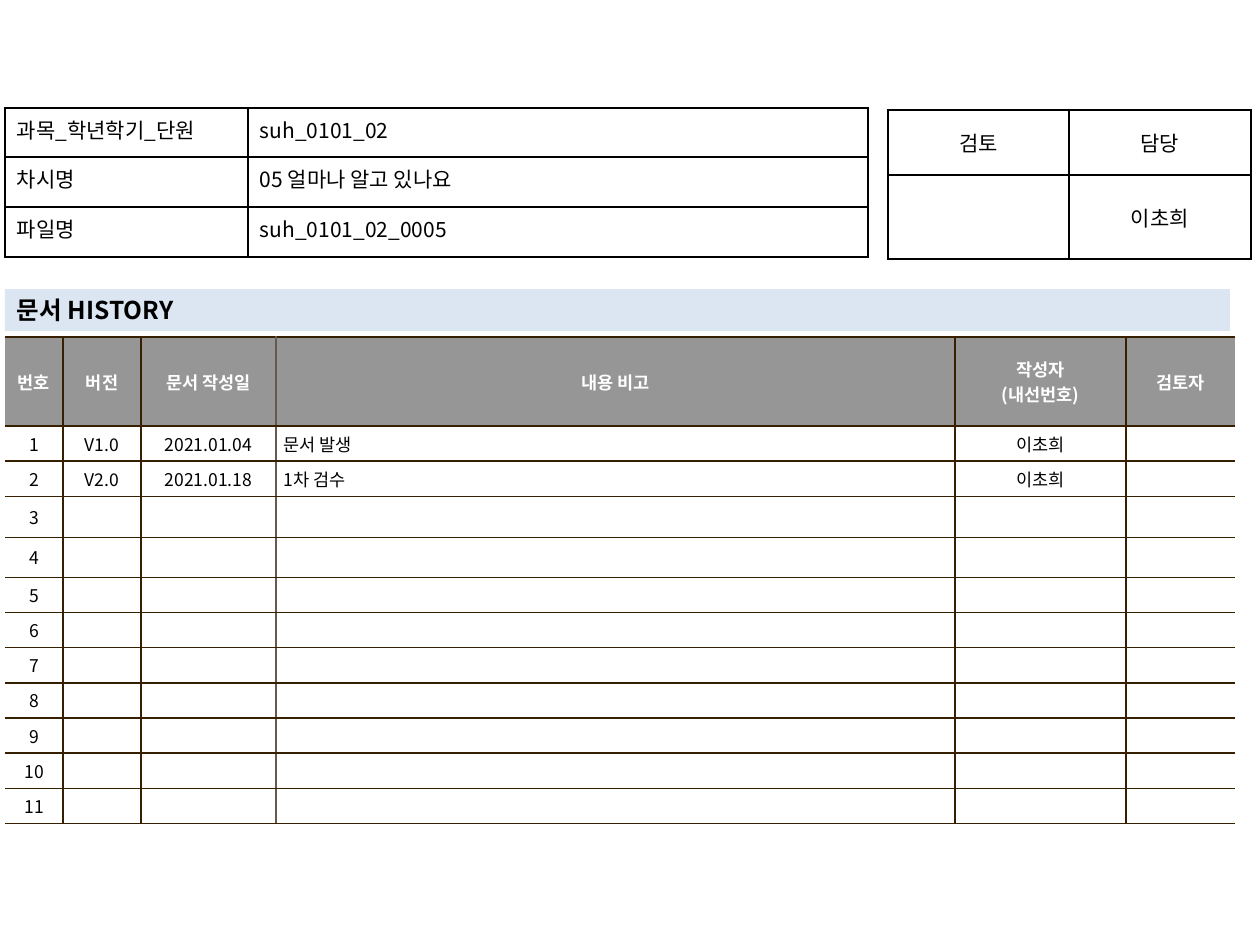
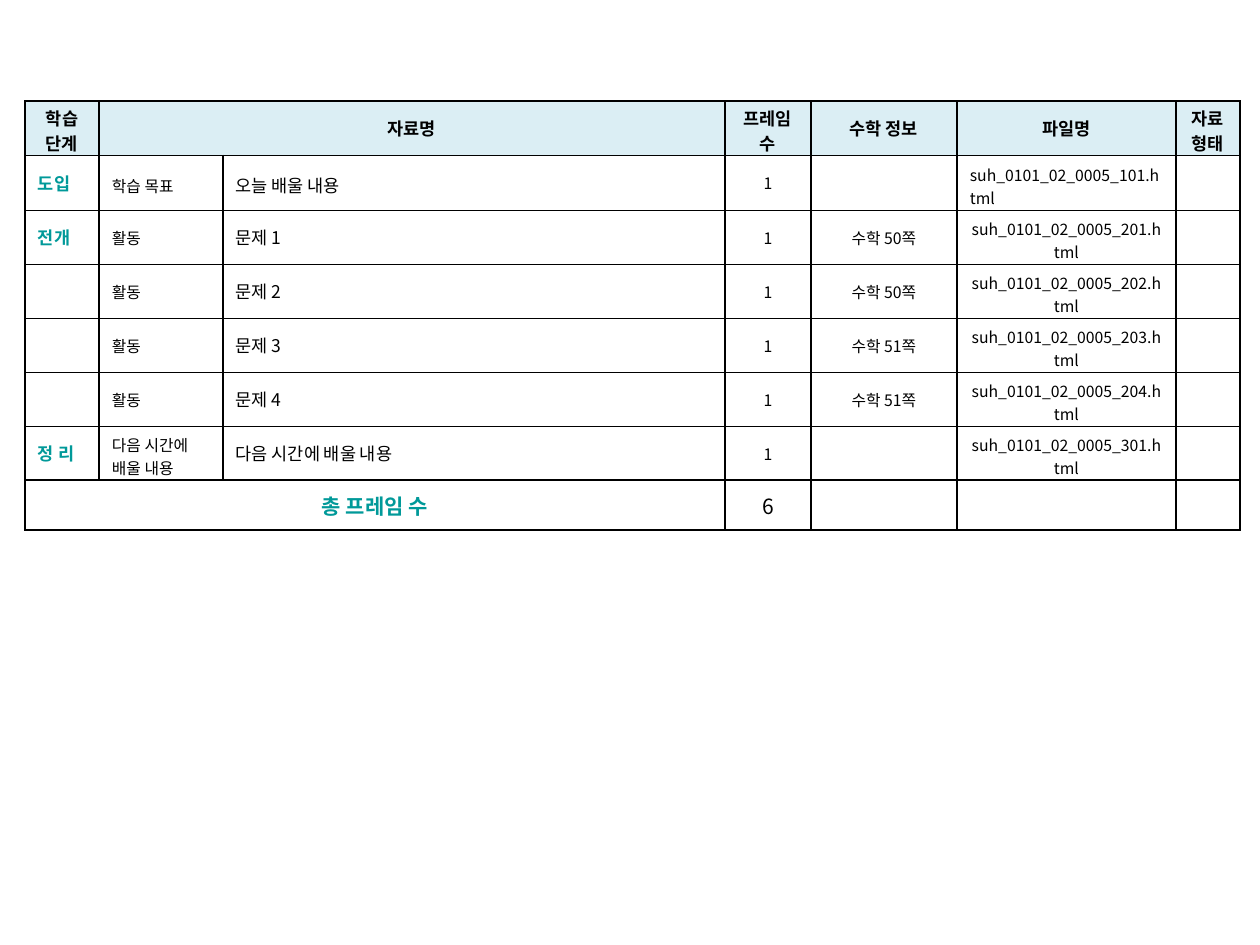
from dataclasses import dataclass, replace

from pptx import Presentation
from pptx import util as u
from pptx.dml.color import RGBColor
from pptx.enum import shapes, text
from pptx.oxml import parse_xml
from pptx.oxml.ns import nsdecls

PX = 914400 / 126
FONT = "Noto Sans CJK KR"
BLACK, WHITE, TEAL = "000000", "FFFFFF", "009999"
BROWN, LIGHT_BROWN, GRAY = "362000", "645B4C", "969696"
BAR_BLUE, HEADER_BLUE = "DCE6F2", "DBEEF4"
LEFT, CENTER, JUSTIFY = text.PP_ALIGN.LEFT, text.PP_ALIGN.CENTER, text.PP_ALIGN.JUSTIFY
TOP, MIDDLE = text.MSO_ANCHOR.TOP, text.MSO_ANCHOR.MIDDLE


@dataclass(frozen=True)
class Style:
    size: int = 10
    color: str = BLACK
    bold: bool = False
    align: text.PP_ALIGN = CENTER
    fill: str | None = None
    spacing: float | None = None
    insets: tuple[int, int] | None = None  # top and bottom, when not the table's own
    left_line: str | None = None
    right_line: str | None = None


@dataclass(frozen=True)
class Grid:
    left: int
    top: int
    columns: list[int]
    rows: list[int]
    line: str = BLACK
    inset_x: int = 13
    inset_y: int = 6
    anchor: text.MSO_ANCHOR = MIDDLE
    open_sides: bool = False


def px(value: int) -> int:
    return u.Emu(round(value * PX))


def rgb(color: str) -> RGBColor:
    return RGBColor.from_string(color)


def format_text(frame, words: str, style: Style) -> None:
    frame.text = words
    for para in frame.paragraphs:
        para.alignment = style.align
        if style.spacing:
            para.line_spacing = style.spacing
        for span in para.runs:
            span.font.size = u.Pt(style.size)
            span.font.bold = style.bold
            span.font.name = FONT
            span.font.color.rgb = rgb(style.color)
            span.font._element.append(parse_xml(f'<a:ea {nsdecls("a")} typeface="{FONT}"/>'))
        if not para.runs:
            # Keeps an empty cell from stretching its row
            para._p.get_or_add_endParaRPr().set("sz", str(style.size * 100))


def set_borders(cell, colors: list[str | None]) -> None:
    """Draw left, right, top and bottom; None hides a side."""
    properties = cell._tc.get_or_add_tcPr()
    for place, (side, color) in enumerate(zip("LRTB", colors)):
        paint = (f'<a:solidFill><a:srgbClr val="{color}"/></a:solidFill>'
                 if color else "<a:noFill/>")
        properties.insert(place, parse_xml(
            f'<a:ln{side} {nsdecls("a")} w="12700">{paint}</a:ln{side}>'))


def draw_table(page, grid: Grid, rows: list[list[tuple[str, Style]]]):
    frame = page.shapes.add_table(
        len(grid.rows), len(grid.columns), px(grid.left), px(grid.top),
        px(sum(grid.columns)), px(sum(grid.rows)))
    table = frame.table
    table.first_row = table.horz_banding = False
    for column, width in zip(table.columns, grid.columns):
        column.width = px(width)
    last = len(grid.columns) - 1
    for row, height, contents in zip(table.rows, grid.rows, rows):
        row.height = px(height)
        for index, (cell, (words, style)) in enumerate(zip(row.cells, contents)):
            above, below = style.insets or (grid.inset_y, grid.inset_y)
            cell.margin_left = cell.margin_right = px(grid.inset_x)
            cell.margin_top, cell.margin_bottom = px(above), px(below)
            cell.vertical_anchor = grid.anchor
            if style.fill:
                cell.fill.solid()
                cell.fill.fore_color.rgb = rgb(style.fill)
            else:
                cell.fill.background()
            left, right = style.left_line or grid.line, style.right_line or grid.line
            if grid.open_sides:
                left = left if index > 0 else None
                right = right if index < last else None
            set_borders(cell, [left, right, grid.line, grid.line])
            format_text(cell.text_frame, words, style)
    return table


def draw_section_bar(page, words: str) -> None:
    bar = page.shapes.add_shape(shapes.MSO_SHAPE.RECTANGLE, px(5), px(289), px(1225), px(42))
    bar.shadow.inherit = False
    bar.fill.solid()
    bar.fill.fore_color.rgb = rgb(BAR_BLUE)
    bar.line.fill.background()
    frame = bar.text_frame
    frame.margin_left = frame.margin_right = px(12)
    frame.margin_top = frame.margin_bottom = 0
    frame.vertical_anchor = MIDDLE
    format_text(frame, words, Style(14, bold=True, align=LEFT))


def history_styles(base: Style, remark_align: text.PP_ALIGN) -> list[Style]:
    """One style per column, with a lighter line between date and remark."""
    date = replace(base, right_line=LIGHT_BROWN)
    remark = replace(base, left_line=LIGHT_BROWN, align=remark_align)
    return [base, base, date, remark, base, base]


def build_history_page(page) -> None:
    header_styles = history_styles(Style(color=WHITE, bold=True, fill=GRAY), CENTER)
    entry_styles = history_styles(Style(fill=WHITE), LEFT)
    titles = ["번호", "버전", "문서 작성일", "내용 비고", "작성자\n(내선번호)", "검토자"]
    entries = [
        ("V1.0", "2021.01.04", "문서 발생", "이초희", ""),
        ("V2.0", "2021.01.18", "1차 검수", "이초희", ""),
    ]
    entries += [("",) * 5] * 9
    history = [list(zip(titles, header_styles))]
    history += [list(zip((str(number), *values), entry_styles))
                for number, values in enumerate(entries, 1)]
    draw_table(page, Grid(5, 337, [58, 78, 135, 679, 171, 109],
                          [89, 35, 35, 41, 40] + [35] * 7, BROWN, 8, 5,
                          open_sides=True), history)

    approval = Style(12)
    draw_table(page, Grid(888, 110, [181, 182], [65, 84]),
               [[("검토", approval), ("담당", approval)],
                [("", approval), ("이초희", approval)]])

    draw_section_bar(page, "문서 HISTORY")

    label, value = Style(12, align=JUSTIFY), Style(12, align=LEFT)
    facts = [("과목_학년학기_단원", "suh_0101_02"),
             ("차시명", "05 얼마나 알고 있나요"),
             ("파일명", "suh_0101_02_0005")]
    draw_table(page, Grid(5, 108, [243, 620], [49, 50, 50], inset_x=12, anchor=TOP),
               [[(name, label), (fact, value)] for name, fact in facts])


def build_frames_page(page) -> None:
    header = Style(bold=True, fill=HEADER_BLUE)
    tall_header = replace(header, insets=(4, 0))
    stage = Style(color=TEAL, bold=True, align=JUSTIFY)
    kind, name = Style(9, align=LEFT), Style(align=LEFT)
    small, total = Style(9), Style(12)
    file_name = replace(small, insets=(6, 0))
    first_file_name = replace(file_name, align=LEFT)
    tall_kind = first_file_name
    styles = [stage, kind, name, small, small, file_name, small]
    opening_styles = [stage, Style(9, align=JUSTIFY, spacing=1.2),
                      Style(align=JUSTIFY, spacing=1.2), small, small,
                      first_file_name, small]
    closing_styles = [stage, tall_kind, *styles[2:]]

    lessons = [("도입", "학습 목표", "오늘 배울 내용", "", 101, opening_styles)]
    lessons += [("전개" if number == 1 else "", "활동", f"문제 {number}",
                 f"수학 {book_page}쪽", 200 + number, styles)
                for number, book_page in enumerate([50, 50, 51, 51], 1)]
    lessons.append(("정 리", "다음 시간에 배울 내용", "다음 시간에 배울 내용", "", 301,
                    closing_styles))

    rows = [[("학습 단계", tall_header), ("자료명", header), ("", header),
             ("프레임 수", tall_header), ("수학 정보", header), ("파일명", header),
             ("자료\n형태", tall_header)]]
    for step, category, material, reference, code, row_styles in lessons:
        words = [step, category, material, "1", reference,
                 f"suh_0101_02_0005_{code}.html", ""]
        rows.append(list(zip(words, row_styles)))
    rows.append([("총 프레임 수", Style(12, TEAL, True)), ("", total), ("", total),
                 (str(len(lessons)), total)] + [("", total)] * 3)
    table = draw_table(page, Grid(25, 101, [74, 124, 502, 86, 146, 219, 64],
                                  [54, 55] + [54] * 5 + [50]), rows)
    table.cell(0, 1).merge(table.cell(0, 2))
    table.cell(7, 0).merge(table.cell(7, 2))


def main() -> None:
    deck = Presentation()
    deck.slide_width, deck.slide_height = px(1260), px(945)
    blank = deck.slide_layouts[6]
    for build in (build_history_page, build_frames_page):
        build(deck.slides.add_slide(blank))
    deck.save("out.pptx")


if __name__ == "__main__":
    main()
